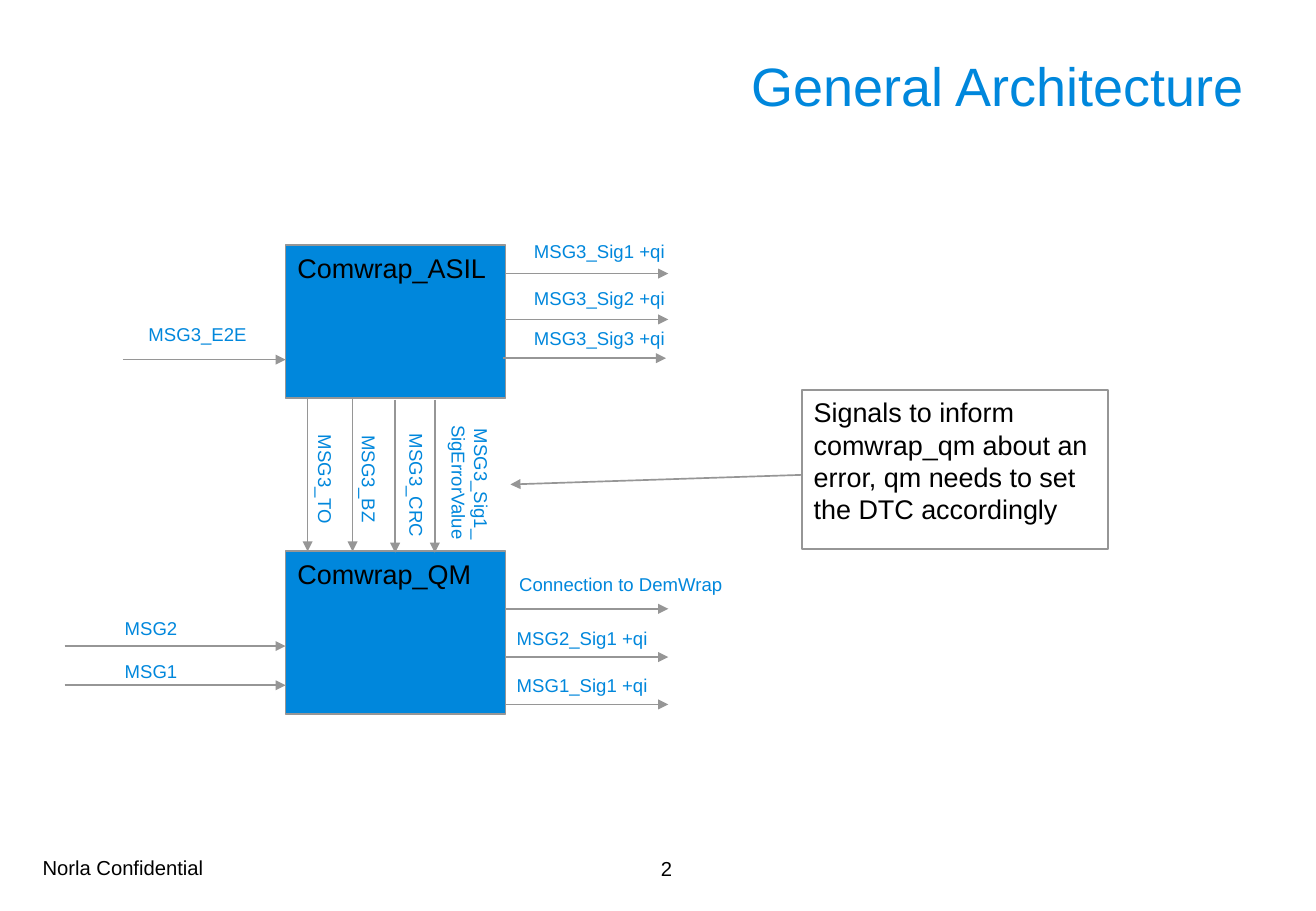
"""Build the General Architecture slide showing message flow between two wrappers."""
from lxml import etree
from pptx import Presentation
from pptx import util as u
from pptx.dml.color import RGBColor
from pptx.enum import shapes, text
from pptx.oxml.ns import qn

COLORS = {"blue": "0087DC", "gray": "969696", "black": "000000"}
FONT = "Arial"
LABEL_HEIGHT = 0.61
MODULE_LEFT, MODULE_WIDTH = 5.97, 4.6
MODULE_RIGHT = MODULE_LEFT + MODULE_WIDTH
OUTPUT_LENGTH = 3.4

TITLE = ("General Architecture", (6.43, 0.58, 19.84, 2.39))
FOOTERS = [
    ("Norla Confidential", (0.64, 17.65, 4.98, 0.99), "LEFT"),
    ("2", (10.72, 17.65, 6.43, 1.02), "CENTER"),
]
MODULES = [("Comwrap_ASIL", 5.13, 3.2), ("Comwrap_QM", 11.53, 3.4)]
CALLOUT = (
    "Signals to inform comwrap_qm about an error, qm needs to set the DTC accordingly",
    (16.76, 8.15, 6.4, 3.33),
)
CALLOUT_ARROW = (16.76, 9.93, 10.67, 10.13)

# name, arrow start, arrow y, label left, label top, label width
INPUTS = [
    ("MSG3_E2E", 2.57, 7.52, 2.51, 6.68, 2.9),
    ("MSG2", 1.35, 13.51, 2.16, 12.83, 1.8),
    ("MSG1", 1.35, 14.33, 2.16, 13.72, 1.8),
]
OUTPUTS = [
    ("MSG3_Sig1 +qi", MODULE_RIGHT, 5.72, 10.52, 4.95, 3.63),
    ("MSG3_Sig2 +qi", MODULE_RIGHT, 6.68, 10.52, 5.92, 3.63),
    ("MSG3_Sig3 +qi", 10.52, 7.49, 10.52, 6.76, 3.63),
    ("Connection to DemWrap", MODULE_RIGHT, 12.73, 10.36, 11.91, 5.0),
    ("MSG2_Sig1 +qi", MODULE_RIGHT, 13.74, 10.16, 13.03, 3.63),
    ("MSG1_Sig1 +qi", MODULE_RIGHT, 14.73, 10.16, 14.02, 3.63),
]
# name, arrow x, arrow top, label box before rotation
ERROR_SIGNALS = [
    ("MSG3_TO", 6.43, 8.33, (5.56, 9.65, 2.49, LABEL_HEIGHT)),
    ("MSG3_BZ", 7.37, 8.33, (6.35, 9.5, 2.74, LABEL_HEIGHT)),
    ("MSG3_CRC", 8.26, 8.36, (7.21, 9.68, 3.0, LABEL_HEIGHT)),
    ("MSG3_Sig1_SigErrorValue", 9.09, 8.36, (8.33, 9.5, 3.0, 1.07)),
]
ERROR_SIGNAL_LENGTH = 3.2


def rgb(name):
    return RGBColor.from_string(COLORS[name])


def write(shape, words, size, color, align="LEFT", anchor="MIDDLE"):
    frame = shape.text_frame
    frame.text = words
    frame.word_wrap = True
    frame.auto_size = text.MSO_AUTO_SIZE.NONE
    frame.vertical_anchor = text.MSO_ANCHOR[anchor]
    para = frame.paragraphs[0]
    para.alignment = text.PP_ALIGN[align]
    font = para.runs[0].font
    font.name, font.size = FONT, u.Pt(size)
    font.color.rgb = rgb(color)


def add_text(page, words, place, size, color, align):
    box = page.shapes.add_textbox(*map(u.Cm, place))
    write(box, words, size, color, align)
    return box


def add_label(page, words, place):
    return add_text(page, words, place, 11, "blue", "RIGHT")


def add_box(page, words, place, fill=None):
    box = page.shapes.add_shape(shapes.MSO_SHAPE.RECTANGLE, *map(u.Cm, place))
    box.shadow.inherit = False
    if fill:
        box.fill.solid()
        box.fill.fore_color.rgb = rgb(fill)
    else:
        box.fill.background()
    box.line.color.rgb = rgb("gray")
    box.line.width = u.Pt(1)
    write(box, words, 16, "black", anchor="TOP")


def add_arrow(page, *ends):
    arrow = page.shapes.add_connector(shapes.MSO_CONNECTOR.STRAIGHT, *map(u.Cm, ends))
    arrow.line.color.rgb = rgb("gray")
    arrow.line.width = u.Pt(1)
    etree.SubElement(arrow.line._get_or_add_ln(), qn("a:tailEnd"), type="triangle")
    etree.SubElement(arrow._element.spPr, qn("a:effectLst"))


def main():
    deck = Presentation()
    deck.slide_width, deck.slide_height = u.Cm(27.51), u.Cm(19.05)
    page = deck.slides.add_slide(deck.slide_layouts[5])

    title = page.shapes.title
    words, place = TITLE
    title.left, title.top, title.width, title.height = map(u.Cm, place)
    write(title, words, 32, "blue", "RIGHT")

    for words, place, align in FOOTERS:
        add_text(page, words, place, 12, "black", align)

    for name, top, height in MODULES:
        add_box(page, name, (MODULE_LEFT, top, MODULE_WIDTH, height), "blue")

    inputs = [(row, MODULE_LEFT) for row in INPUTS]
    outputs = [(row, row[1] + OUTPUT_LENGTH) for row in OUTPUTS]
    for (name, start, y, left, top, width), end in inputs + outputs:
        add_arrow(page, start, y, end, y)
        add_label(page, name, (left, top, width, LABEL_HEIGHT))

    for name, x, top, place in ERROR_SIGNALS:
        add_arrow(page, x, top, x, top + ERROR_SIGNAL_LENGTH)
        add_label(page, name, place).rotation = 90

    add_arrow(page, *CALLOUT_ARROW)
    add_box(page, *CALLOUT)
    deck.save("out.pptx")


if __name__ == "__main__":
    main()
